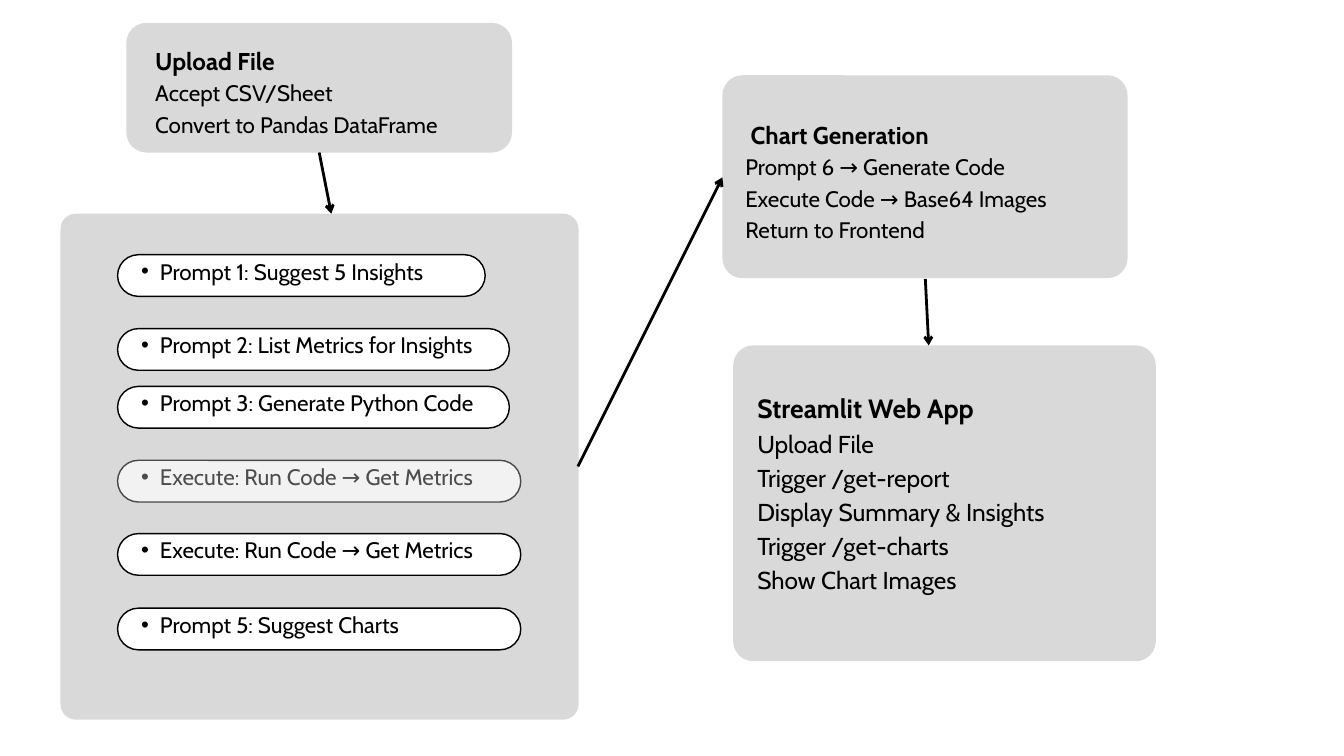
import pptx
import pptx.dml.color
import pptx.enum.shapes
import pptx.enum.text
import pptx.oxml
import pptx.oxml.ns
import pptx.util

Inches = pptx.util.Inches
Pt = pptx.util.Pt
FONT = "Cabin"
GREY, WHITE, BLACK = "D9D9D9", "FFFFFF", "000000"


def paint(color, tone, alpha=100):
    """Set a colour format to a hex value, with opacity in percent."""
    color.rgb = pptx.dml.color.RGBColor.from_string(tone)
    if alpha < 100:
        node = color._xFill.find(pptx.oxml.ns.qn("a:srgbClr"))
        add_node(node, "a:alpha", val=alpha * 1000)


def add_node(parent, tag, **attrs):
    node = parent.makeelement(pptx.oxml.ns.qn(tag), {})
    for key, value in attrs.items():
        node.set(key, str(value))
    parent.append(node)
    return node


def add_box(slide, box, radius, fill, line=None, alpha=100):
    left, top, width, height = box
    kind = pptx.enum.shapes.MSO_SHAPE.ROUNDED_RECTANGLE
    shape = slide.shapes.add_shape(kind, *map(Inches, box))
    shape.adjustments[0] = min(0.5, radius / min(width, height))
    shape.shadow.inherit = False
    shape.fill.solid()
    paint(shape.fill.fore_color, fill, alpha)
    if line:
        shape.line.width = Pt(1.5)
        shape.line.fill.solid()
        paint(shape.line.color, line, alpha)
    else:
        shape.line.fill.background()
    return shape


def add_text(frame, text, first=False, size=24, lead=33.6, bold=False,
             alpha=100, indent=0, bullet=False):
    """Write one paragraph; indent is the left margin in inches."""
    para = frame.paragraphs[0] if first else frame.add_paragraph()
    para.line_spacing = Pt(lead)
    run = para.add_run()
    run.text = text
    run.font.name = FONT
    run.font.size = Pt(size)
    run.font.bold = bold
    run.font.fill.solid()
    paint(run.font.fill.fore_color, BLACK, alpha)
    props = para._p.get_or_add_pPr()
    if indent:
        props.set("marL", str(Inches(indent)))
    if bullet:
        props.set("indent", str(Inches(-0.28)))
        add_node(props, "a:buFont", typeface="Arial")
        add_node(props, "a:buChar", char="•")


def add_frame(slide, box, inset=0, middle=False):
    frame = slide.shapes.add_textbox(*map(Inches, box)).text_frame
    frame.word_wrap = True
    frame.margin_left = frame.margin_right = Inches(inset)
    frame.margin_top = frame.margin_bottom = Inches(inset)
    anchor = pptx.enum.text.MSO_ANCHOR
    frame.vertical_anchor = anchor.MIDDLE if middle else anchor.TOP
    return frame


def add_card(slide, box, pad, title, lines, scale=1.0, indent=0):
    """Grey card with a bold heading; pad is the text offset (x, y)."""
    left, top, width, height = box
    add_box(slide, box, 0.3, GREY)
    dx, dy = pad
    frame = add_frame(slide, (left + dx, top + dy,
                              width - 2 * dx, height - 2 * dy))
    add_text(frame, title, first=True, size=round(26 * scale, 1),
             lead=round(36.4 * scale, 1), bold=True, indent=indent)
    for line in lines:
        add_text(frame, line, size=round(24 * scale, 1),
                 lead=round(33.6 * scale, 1))


def add_steps(slide, box, steps):
    """Grey panel of pills; each step is (text, y offset, width, opacity)."""
    left, top = box[:2]
    add_box(slide, box, 0.23, GREY)
    tall, lift = 0.62, 0.2
    for text, dy, width, alpha in steps:
        x, y = left + 0.85, top + dy
        add_box(slide, (x, y, width, tall), 0.31, WHITE, BLACK, alpha)
        frame = add_frame(slide, (x, y - lift, width, tall + lift),
                          inset=0.06, middle=True)
        add_text(frame, text, first=True, alpha=alpha, indent=0.57,
                 bullet=True)


def add_arrow(slide, start, end):
    kind = pptx.enum.shapes.MSO_CONNECTOR.STRAIGHT
    arrow = slide.shapes.add_connector(kind, *map(Inches, start + end))
    arrow.line.width = Pt(3)
    arrow.line.fill.solid()
    paint(arrow.line.color, BLACK)
    add_node(arrow.line._get_or_add_ln(), "a:tailEnd", type="arrow")
    add_node(arrow._element.spPr, "a:effectLst")


def main():
    deck = pptx.Presentation()
    deck.slide_width, deck.slide_height = Inches(20), Inches(11.25)
    slide = deck.slides.add_slide(deck.slide_layouts[6])

    add_steps(slide, (0.9, 3.18, 7.71, 7.53), [
        ("Prompt 1: Suggest 5 Insights", 0.61, 5.47, 100),
        ("Prompt 2: List Metrics for Insights", 1.71, 5.83, 100),
        ("Prompt 3: Generate Python Code", 2.57, 5.83, 100),
        ("Execute: Run Code → Get Metrics", 3.67, 6, 68),
        ("Execute: Run Code → Get Metrics", 4.76, 6, 100),
        ("Prompt 5: Suggest Charts", 5.87, 6, 100),
    ])
    add_card(slide, (10.75, 1.12, 6.03, 3.02), (0.34, 0.59),
             "Chart Generation",
             ["Prompt 6 → Generate Code", "Execute Code → Base64 Images",
              "Return to Frontend"], indent=0.08)
    add_card(slide, (1.88, 0.34, 5.74, 1.93), (0.43, 0.27), "Upload File",
             ["Accept CSV/Sheet", "Convert to Pandas DataFrame"])
    add_card(slide, (10.91, 5.14, 6.29, 4.7), (0.36, 0.62),
             "Streamlit Web App",
             ["Upload File", "Trigger /get-report",
              "Display Summary & Insights", "Trigger /get-charts",
              "Show Chart Images"], scale=1.09)

    add_arrow(slide, (4.75, 2.27), (4.93, 3.18))
    add_arrow(slide, (8.6, 6.94), (10.75, 2.64))
    add_arrow(slide, (13.77, 4.15), (13.82, 5.14))
    deck.save("out.pptx")


if __name__ == "__main__":
    main()
